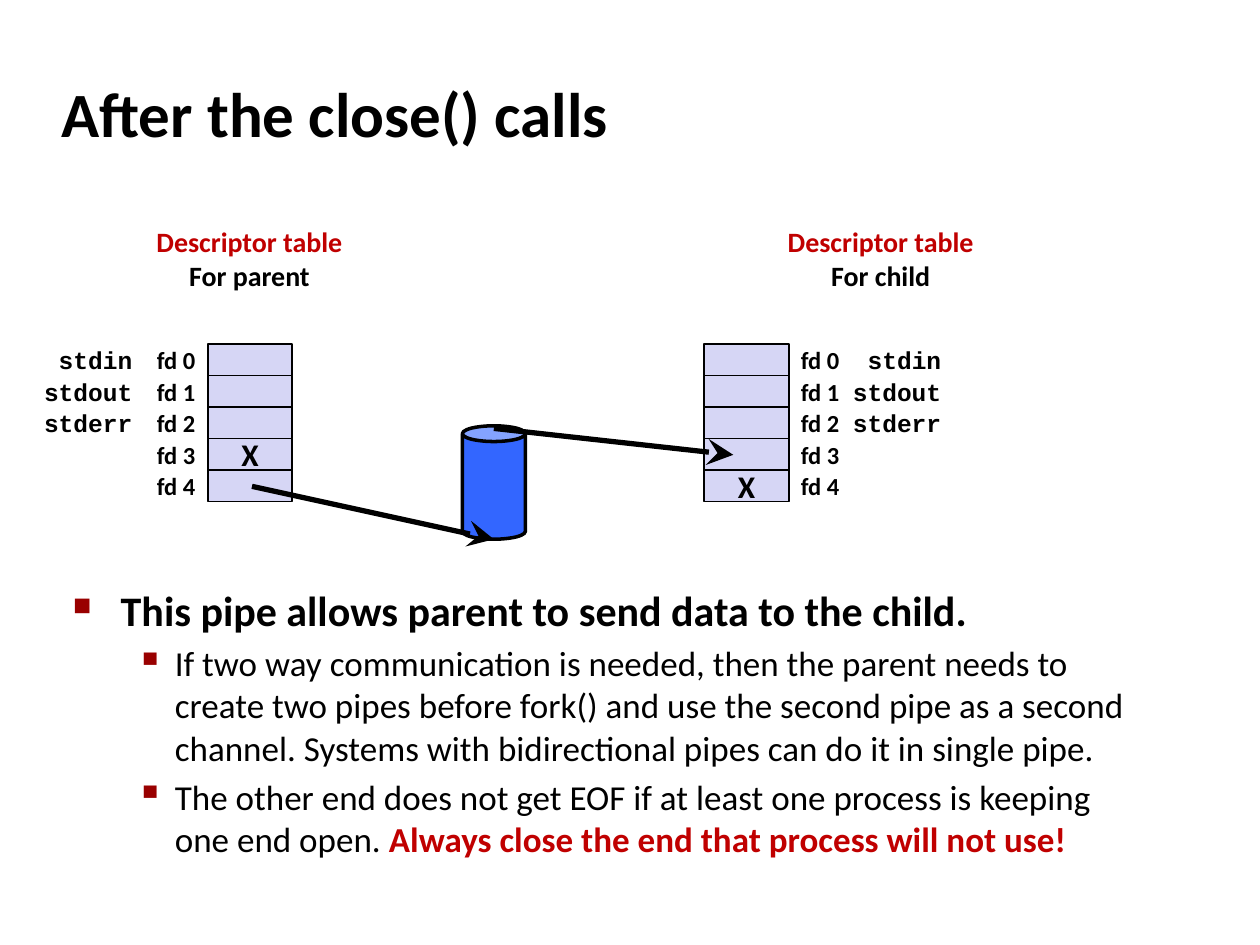
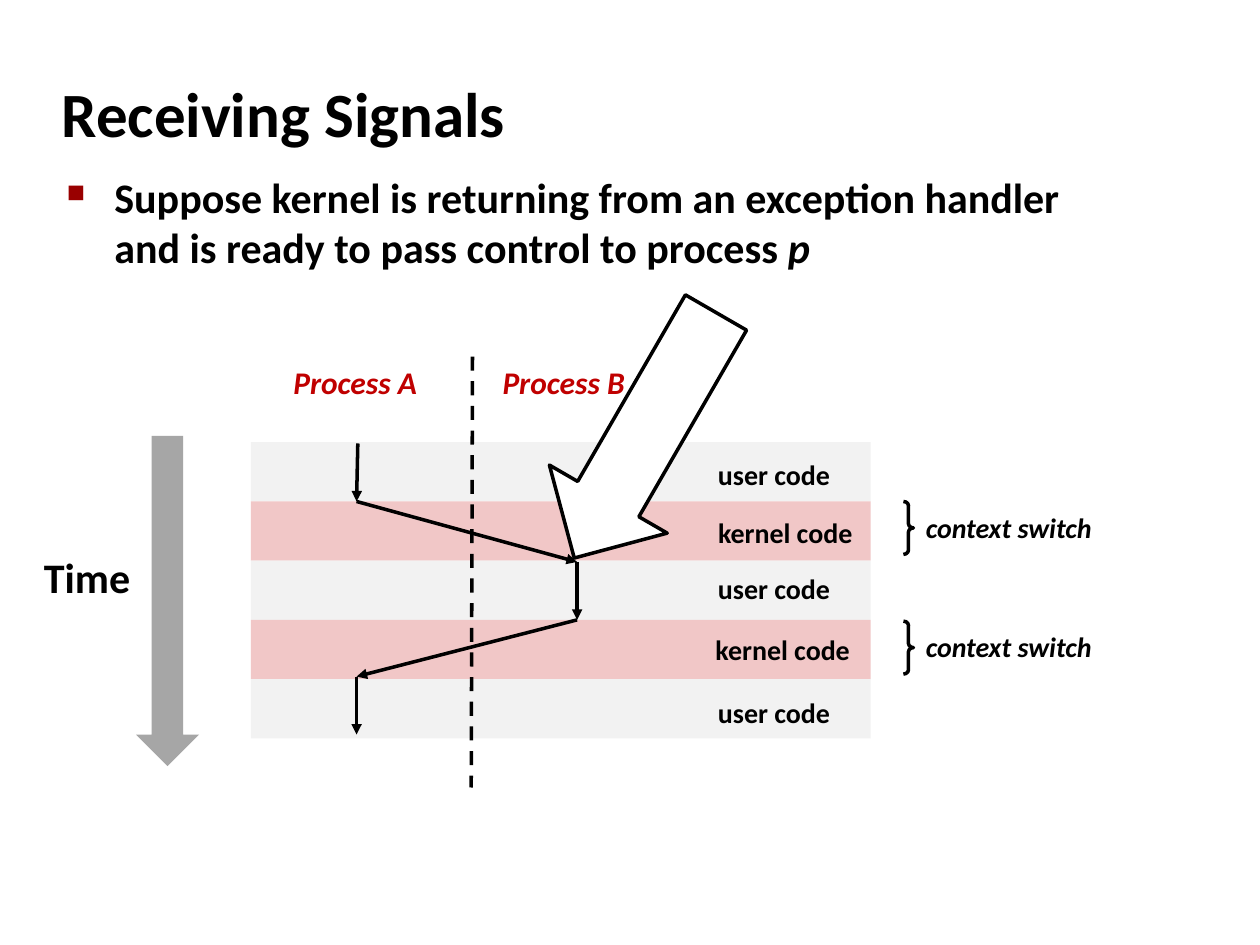
"""Build two slides on pipe descriptors and signal delivery."""
import pptx
import pptx.dml.color
import pptx.enum.dml
import pptx.enum.shapes
import pptx.enum.text
import pptx.oxml
import pptx.oxml.ns
import pptx.util

Inches = pptx.util.Inches
Pt = pptx.util.Pt
RGBColor = pptx.dml.color.RGBColor
SHAPE = pptx.enum.shapes.MSO_SHAPE
ALIGN = pptx.enum.text.PP_ALIGN
ANCHOR = pptx.enum.text.MSO_ANCHOR

BLACK = RGBColor(0x00, 0x00, 0x00)
WHITE = RGBColor(0xFF, 0xFF, 0xFF)
RED = RGBColor(0xC0, 0x00, 0x00)
BULLET_RED = RGBColor(0x99, 0x00, 0x00)
LILAC = RGBColor(0xD6, 0xD6, 0xF5)
BLUE = RGBColor(0x33, 0x66, 0xFF)
PINK = RGBColor(0xF1, 0xC7, 0xC7)
PALE_GRAY = RGBColor(0xF2, 0xF2, 0xF2)
MID_GRAY = RGBColor(0xA6, 0xA6, 0xA6)

BODY = "Calibri"
CODE = "Courier New"
HEADING = {"size": Pt(24), "bold": True}
DETAIL = {"size": Pt(20), "bold": False}
BULLETS = {
    0: {"char": "■", "percent": 60, "margin": 0.38, "hang": 0.38, "before": 4.8},
    1: {"char": "▪", "percent": 110, "margin": 0.81, "hang": 0.31, "before": 4},
}


def add_xml(parent, tag, **values):
    """Append a drawing element with the given attributes and return it."""
    child = pptx.oxml.parse_xml(f"<a:{tag} {pptx.oxml.ns.nsdecls('a')}/>")
    for name, value in values.items():
        child.set(name, str(value))
    parent.append(child)
    return child


class Sketch:
    """Hold the shared style and the page being drawn."""

    def __init__(self, deck):
        """Keep the deck and its blank layout."""
        self.deck = deck
        self.blank = deck.slide_layouts[6]
        self.page = None

    def start(self, title):
        """Add a page with its title."""
        self.page = self.deck.slides.add_slide(self.blank)
        self.text((0.39, 0.48, 8.3, 0.83), [title], wrap=True,
                  anchor=ANCHOR.MIDDLE, size=Pt(36))

    def span(self, para, words, color=BLACK, **changes):
        """Add one run in the house style with the given changes."""
        span = para.add_run()
        span.text = words
        formats = {"name": BODY, "size": Pt(16), "bold": True, **changes}
        for name, value in formats.items():
            setattr(span.font, name, value)
        span.font.color.rgb = color

    def text(self, place, lines, colors=(BLACK,), align=ALIGN.LEFT,
             anchor=ANCHOR.TOP, wrap=False, **changes):
        """Add a text box with one paragraph for each line."""
        box = self.page.shapes.add_textbox(*map(Inches, place))
        self.label(box, lines, colors, align, anchor, wrap, **changes)

    def label(self, box, lines, colors=(BLACK,), align=ALIGN.CENTER,
              anchor=ANCHOR.MIDDLE, wrap=False, **changes):
        """Fill a shape's frame with one paragraph for each line."""
        frame = box.text_frame
        frame.word_wrap = wrap
        frame.vertical_anchor = anchor
        for index, (words, color) in enumerate(zip(lines, colors)):
            para = frame.add_paragraph() if index else frame.paragraphs[0]
            para.alignment = align
            self.span(para, words, color, **changes)

    def bullets(self, place, items):
        """Add a bulleted list from pairs of level and spans."""
        frame = self.page.shapes.add_textbox(*map(Inches, place)).text_frame
        frame.word_wrap = True
        for index, (level, spans) in enumerate(items):
            para = frame.add_paragraph() if index else frame.paragraphs[0]
            style = BULLETS[level]
            para.level = level
            para.space_before = Pt(style["before"])
            props = para._p.get_or_add_pPr()
            props.set("marL", str(Inches(style["margin"])))
            props.set("indent", str(-Inches(style["hang"])))
            add_xml(add_xml(props, "buClr"), "srgbClr", val=BULLET_RED)
            add_xml(props, "buSzPct", val=style["percent"] * 1000)
            add_xml(props, "buChar", char=style["char"])
            for words, formats in spans:
                self.span(para, words, **formats)

    def shape(self, kind, place, fill=None, line=None, turn=0, adjust=()):
        """Add a preset shape, filled and outlined only where asked."""
        shape = self.page.shapes.add_shape(kind, *map(Inches, place))
        shape.shadow.inherit = False
        shape.rotation = turn
        for index, value in enumerate(adjust):
            shape.adjustments[index] = value
        if fill is None:
            shape.fill.background()
        else:
            shape.fill.solid()
            shape.fill.fore_color.rgb = fill
        if line is None:
            shape.line.fill.background()
        else:
            shape.line.color.rgb = BLACK
            shape.line.width = Pt(line)
        return shape

    def line(self, start, end, width=2, head="triangle", size="med", dash=None):
        """Add a straight line, with an arrowhead at its end if named."""
        line = self.page.shapes.add_connector(
            pptx.enum.shapes.MSO_CONNECTOR.STRAIGHT, *map(Inches, (*start, *end)))
        line.line.color.rgb = BLACK
        line.line.width = Pt(width)
        line.line.dash_style = dash
        if head:
            add_xml(line.line._get_or_add_ln(), "tailEnd", type=head, w=size, len=size)
        add_xml(line._element.spPr, "effectLst")

    def descriptor_table(self, owner, cells_left, labels_left, names_left,
                         heading_left, closed):
        """Draw a process's five descriptors, crossing out the closed one."""
        self.text((heading_left, 1.73, 1.7, 0.64), ["Descriptor table", f"For {owner}"],
                  (RED, BLACK), ALIGN.CENTER, ANCHOR.MIDDLE)
        for number in range(5):
            top = 2.73 + 0.25 * number
            cell = self.shape(SHAPE.RECTANGLE, (cells_left, top, 0.67, 0.25), LILAC, 1)
            if number == closed:
                self.label(cell, ["X"], size=Pt(18))
            self.text((labels_left, top, 0.67, 0.25), [f"fd {number}"],
                      align=ALIGN.RIGHT, anchor=ANCHOR.MIDDLE, size=Pt(14))
        for number, name in enumerate(("stdin", "stdout", "stderr")):
            self.text((names_left, 2.69 + 0.25 * number, 0.9, 0.33), [name],
                      align=ALIGN.RIGHT, anchor=ANCHOR.MIDDLE, name=CODE, size=Pt(14))


def draw_pipe(sketch):
    """Draw the pipe that is left between parent and child."""
    sketch.start("After the close() calls")
    sketch.bullets((0.48, 4.59, 8.64, 2.09), [
        (0, [("This pipe allows parent to send data to the child.", HEADING)]),
        (1, [("If two way communication is needed, then the parent needs to create "
              "two pipes before fork() and use the second pipe as a second channel. "
              "Systems with bidirectional pipes can do it in single pipe.", DETAIL)]),
        (1, [("The other end does not get EOF if at least one process is keeping "
              "one end open. ", DETAIL),
             ("Always close the end that process will not use!",
              {"size": Pt(20), "color": RED})]),
    ])
    sketch.descriptor_table("parent", 1.65, 0.98, 0.25, 1.13, closed=3)
    sketch.shape(SHAPE.CAN, (3.67, 3.38, 0.5, 0.9), BLUE, 2)
    sketch.descriptor_table("child", 5.59, 6.09, 6.67, 6.14, closed=4)
    for start, end in (((2, 3.86), (3.92, 4.28)), ((3.92, 3.4), (5.82, 3.61))):
        sketch.line(start, end, 3, "stealth", "lg")


def draw_signals(sketch):
    """Draw control passing between two processes over time."""
    sketch.start("Receiving Signals")
    sketch.bullets((0.43, 1.31, 8.64, 1.19), [
        (0, [("Suppose kernel is returning from an exception handler and is ready "
              "to pass control to process ", HEADING),
             ("p", {**HEADING, "italic": True})]),
    ])
    band_top, band_height = 3.51, 0.47
    label_places = ((5.6, 3.58), (5.6, 4.04), (5.6, 4.49), (5.58, 4.97), (5.6, 5.47))
    for number, (left, top) in enumerate(label_places):
        in_kernel = number % 2 == 1
        sketch.shape(SHAPE.RECTANGLE,
                     (1.99, band_top + number * band_height, 4.92, band_height),
                     PINK if in_kernel else PALE_GRAY)
        sketch.text((left, top, 1.28 if in_kernel else 1.1, 0.37),
                    ["kernel code" if in_kernel else "user code"])
    for process, left in (("A", 2.23), ("B", 3.89)):
        sketch.text((left, 2.83, 1.2, 0.4), [f"Process {process}"], (RED,),
                    size=Pt(18), italic=True)
    sketch.line((3.75, 2.83), (3.74, 6.25), head=None,
                dash=pptx.enum.dml.MSO_LINE.DASH)
    for top in (3.98, 4.93):
        sketch.shape(SHAPE.RIGHT_BRACE, (7.17, top, 0.08, 0.42), line=2,
                     adjust=(0.417, 0.5))
        sketch.text((7.25, top + 0.02, 1.54, 0.37), ["context switch"], italic=True)
    sketch.text((0.25, 4.33, 0.89, 0.5), ["Time"], size=Pt(24))
    sketch.shape(SHAPE.DOWN_ARROW, (1.08, 3.46, 0.5, 2.62), MID_GRAY)
    control = ((2.84, 3.52), (2.83, 3.98), (4.58, 4.46), (4.58, 4.92),
               (2.83, 5.37), (2.83, 5.83))
    for start, end in zip(control, control[1:]):
        sketch.line(start, end)
    sketch.shape(SHAPE.DOWN_ARROW, (4.58, 2.33, 1.08, 2.25), WHITE, 2, 30, (0.519, 0.5))


def main():
    """Build and save the deck."""
    deck = pptx.Presentation()
    deck.slide_width, deck.slide_height = Inches(10), Inches(7.5)
    sketch = Sketch(deck)
    draw_pipe(sketch)
    draw_signals(sketch)
    deck.save("out.pptx")


if __name__ == "__main__":
    main()
